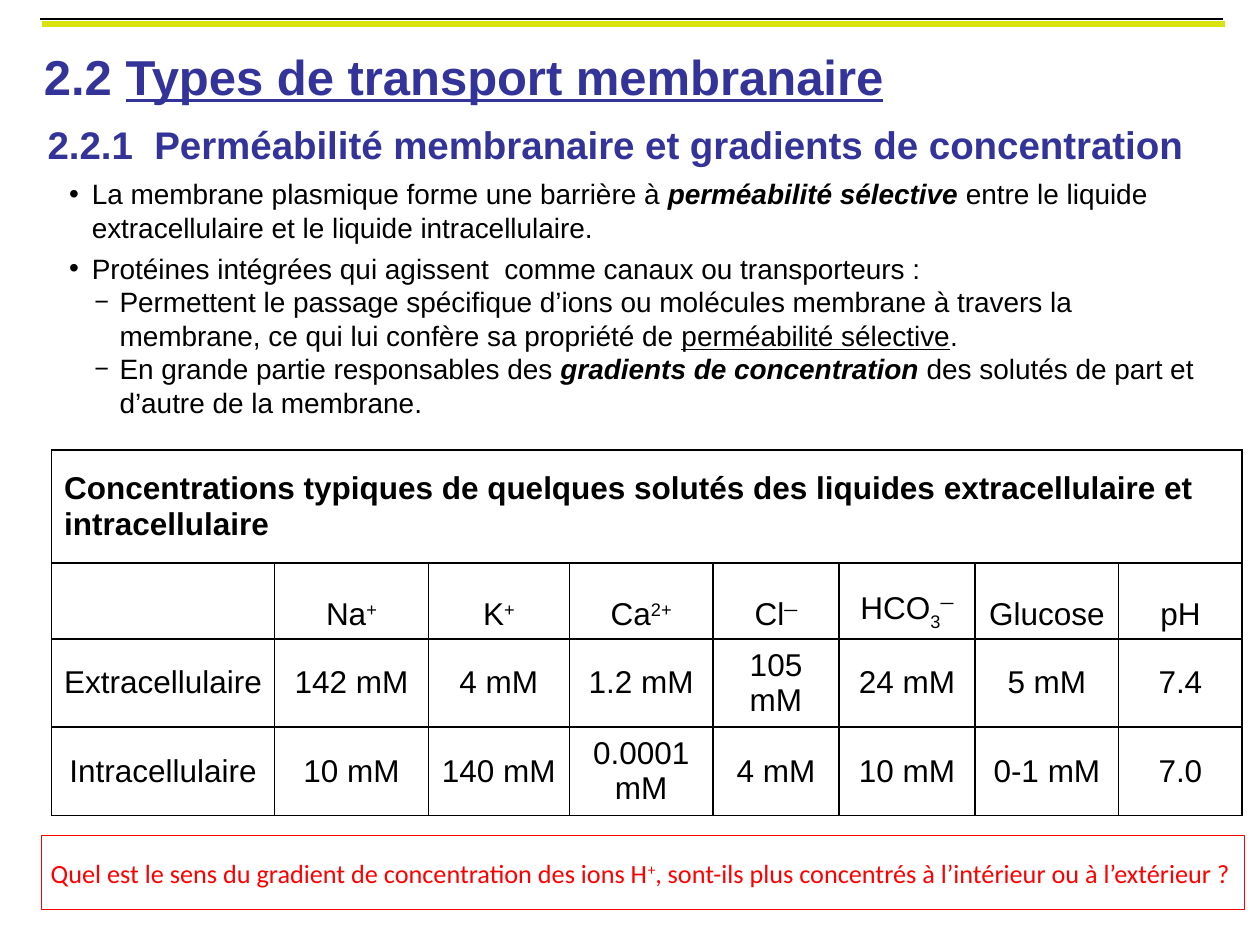
from dataclasses import dataclass, field
from lxml.etree import SubElement
from pptx import Presentation
from pptx.dml.color import RGBColor as RGB
from pptx.enum.shapes import MSO_CONNECTOR as CONN, MSO_SHAPE as SHAPE
from pptx.enum.text import MSO_ANCHOR as ANCHOR, MSO_AUTO_SIZE as AUTO, PP_ALIGN as ALIGN
from pptx.oxml import parse_xml
from pptx.oxml.ns import nsdecls, qn
from pptx.util import Inches, Pt

COLS, ROWS = 100, 75
COLORS = {"black": "000000", "lime": "D9E30D", "blue": "333399", "red": "FF0000"}
STRONG = {"bold": True, "italic": True}
UNDER = {"underline": True}
SUP, SUB = {"baseline": 30000}, {"baseline": -30000}


@dataclass
class Box:
    col: float
    row: float
    cols: float
    rows: float


@dataclass
class Run:
    text: str
    fmt: dict = field(default_factory=dict)


@dataclass
class Bullet:
    runs: list
    level: int = 0
    before: float = 0


@dataclass
class Rule:
    col: float
    row: float
    color: str
    width: float


@dataclass
class Heading:
    box: Box
    runs: list
    size: float


@dataclass
class BulletStyle:
    char: str
    margin: float
    indent: float
    size: int


RULES = [Rule(3.3, 1.9, "lime", 3), Rule(3.2, 1.5, "black", 1.5)]
RULE_COLS = 93.9
HEADINGS = [
    Heading(Box(2.5, 3.2, 69.5, 5.7),
            [Run("2.2 "), Run("Types de transport membranaire", UNDER)], 28),
    Heading(Box(2.8, 9.1, 93.4, 4.7),
            [Run("2.2.1  Perméabilité membranaire et gradients de concentration")], 22),
]
BULLET_STYLES = [BulletStyle("•", 0.18, -0.18, 100), BulletStyle("−", 0.4, -0.2, 90)]
BULLETS = [
    Bullet([Run("La membrane plasmique forme une barrière à "),
            Run("perméabilité sélective ", STRONG),
            Run("entre le liquide extracellulaire et le liquide intracellulaire.")]),
    Bullet([Run("Protéines intégrées qui agissent  comme canaux ou transporteurs :")],
           before=4),
    Bullet([Run("Permettent le passage spécifique d’ions ou molécules membrane à travers la "
                "membrane, ce qui lui confère sa propriété de "),
            Run("perméabilité sélective", UNDER), Run(".")], level=1),
    Bullet([Run("En grande partie responsables des "),
            Run("gradients de concentration", STRONG),
            Run(" des solutés de part et d’autre de la membrane.")], level=1),
]
TABLE_TITLE = ("Concentrations typiques de quelques solutés des liquides "
               "extracellulaire et intracellulaire")
TABLE_COLS = [17.7, 12.2, 11.2, 11.4, 10, 10.8, 11.4, 9.8]
TABLE_ROWS = [9, 6, 7, 7]
SOLUTES = [
    [],
    [Run("Na"), Run("+", SUP)],
    [Run("K"), Run("+", SUP)],
    [Run("Ca"), Run("2+", SUP)],
    [Run("Cl"), Run("─", SUP)],
    [Run("HCO"), Run("3", SUB), Run("─", SUP)],
    [Run("Glucose")],
    [Run("pH")],
]
VALUES = [
    ["Extracellulaire", "142 mM", "4 mM", "1.2 mM", "105 mM", "24 mM", "5 mM", "7.4"],
    ["Intracellulaire", "10 mM", "140 mM", "0.0001 mM", "4 mM", "10 mM", "0-1 mM", "7.0"],
]
QUESTION = [Run("Quel est le sens du gradient de concentration des ions H"), Run("+", SUP),
            Run(", sont-ils plus concentrés à l’intérieur ou à l’extérieur ? ")]

prs = Presentation()
prs.slide_width, prs.slide_height = Inches(10), Inches(7.5)
s = prs.slides.add_slide(prs.slide_layouts[6])


def x(cols: float) -> int:
    return round(prs.slide_width * cols / COLS)


def y(rows: float) -> int:
    return round(prs.slide_height * rows / ROWS)


def place(box: Box) -> tuple:
    return x(box.col), y(box.row), x(box.cols), y(box.rows)


def set_all(obj, fmt: dict) -> None:
    for name, value in fmt.items():
        setattr(obj, name, value)


def write(p, runs: list, size: float, color: str = "black", name: str = "Arial",
          bold: bool = False) -> None:
    for run in runs:
        r = p.add_run()
        r.text = run.text
        fmt = {"name": name, "size": Pt(size), "bold": bold} | run.fmt
        baseline = fmt.pop("baseline", None)
        set_all(r.font, fmt)
        r.font.color.rgb = RGB.from_string(COLORS[color])
        if baseline:
            r._r.get_or_add_rPr().set("baseline", str(baseline))


def draw_rule(rule: Rule) -> None:
    line = s.shapes.add_connector(CONN.STRAIGHT, x(rule.col), y(rule.row),
                                  x(rule.col + RULE_COLS), y(rule.row))
    line.line.color.rgb = RGB.from_string(COLORS[rule.color])
    line.line.width = Pt(rule.width)
    SubElement(line._element.spPr, qn("a:effectLst"))


def draw_heading(heading: Heading) -> None:
    tf = s.shapes.add_textbox(*place(heading.box)).text_frame
    set_all(tf, {"word_wrap": False, "auto_size": AUTO.SHAPE_TO_FIT_TEXT})
    write(tf.paragraphs[0], heading.runs, heading.size, "blue", bold=True)


def draw_bullets(box: Box, bullets: list) -> None:
    tf = s.shapes.add_textbox(*place(box)).text_frame
    set_all(tf, {"word_wrap": True, "auto_size": AUTO.SHAPE_TO_FIT_TEXT,
                 "vertical_anchor": ANCHOR.MIDDLE})
    for i, bullet in enumerate(bullets):
        p = tf.add_paragraph() if i else tf.paragraphs[0]
        style = BULLET_STYLES[bullet.level]
        set_all(p, {"level": bullet.level, "space_before": Pt(bullet.before)})
        pPr = p._p.get_or_add_pPr()
        pPr.set("marL", str(Inches(style.margin)))
        pPr.set("indent", str(Inches(style.indent)))
        SubElement(pPr, qn("a:buSzPct"), val=str(style.size * 1000))
        SubElement(pPr, qn("a:buFont"), typeface="Arial")
        SubElement(pPr, qn("a:buChar"), char=style.char)
        tabs = SubElement(pPr, qn("a:tabLst"))
        SubElement(tabs, qn("a:tab"), pos=str(Inches(1)), algn="l")
        write(p, bullet.runs, 16)


def add_borders(cell) -> None:
    tcPr = cell._tc.get_or_add_tcPr()
    for i, side in enumerate(("lnL", "lnR", "lnT", "lnB")):
        tcPr.insert(i, parse_xml(
            f'<a:{side} {nsdecls("a")} w="{Pt(1)}"><a:solidFill>'
            f'<a:srgbClr val="{COLORS["black"]}"/></a:solidFill></a:{side}>'))


def draw_table(col: float, row: float) -> None:
    box = Box(col, row, sum(TABLE_COLS), sum(TABLE_ROWS))
    table = s.shapes.add_table(len(TABLE_ROWS), len(TABLE_COLS), *place(box)).table
    set_all(table, {"first_row": False, "horz_banding": False})
    for column, cols in zip(table.columns, TABLE_COLS):
        column.width = x(cols)
    for line, rows in zip(table.rows, TABLE_ROWS):
        line.height = y(rows)
    table.cell(0, 0).merge(table.cell(0, len(TABLE_COLS) - 1))
    title = [[Run(TABLE_TITLE)]] + [[]] * (len(TABLE_COLS) - 1)
    grid = [title, SOLUTES] + [[[Run(v)] for v in values] for values in VALUES]
    for i, line in enumerate(grid):
        for j, runs in enumerate(line):
            cell = table.cell(i, j)
            cell.fill.background()
            add_borders(cell)
            cell.vertical_anchor = ANCHOR.BOTTOM if i == 1 else ANCHOR.MIDDLE
            p = cell.text_frame.paragraphs[0]
            p.alignment = ALIGN.CENTER if i else ALIGN.LEFT
            write(p, runs, 18, bold=i == 0)


def draw_question(box: Box) -> None:
    sp = s.shapes.add_shape(SHAPE.RECTANGLE, *place(box))
    sp.shadow.inherit = False
    sp.fill.background()
    sp.line.color.rgb = RGB.from_string(COLORS["red"])
    sp.line.width = Pt(0.75)
    tf = sp.text_frame
    set_all(tf, {"word_wrap": True, "vertical_anchor": ANCHOR.MIDDLE})
    set_all(tf, {f"margin_{side}": Inches(0.04) for side in ("left", "right", "top", "bottom")})
    p = tf.paragraphs[0]
    p.alignment = ALIGN.CENTER
    write(p, QUESTION, 15, "red", "Calibri")


for rule in RULES:
    draw_rule(rule)
draw_bullets(Box(4.5, 13.4, 91.9, 20.5), BULLETS)
draw_table(4.1, 35.7)
for heading in HEADINGS:
    draw_heading(heading)
draw_question(Box(3.3, 66.3, 95.5, 5.9))
prs.save("out.pptx")
